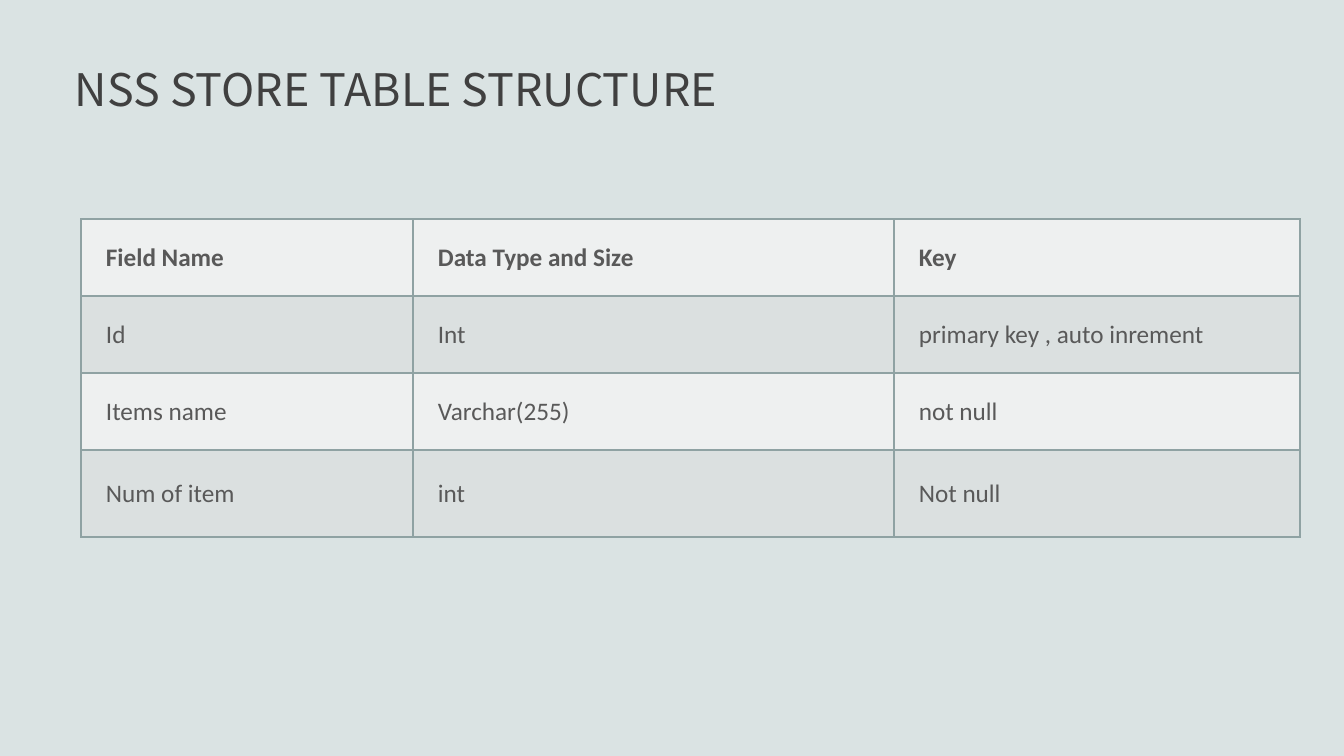
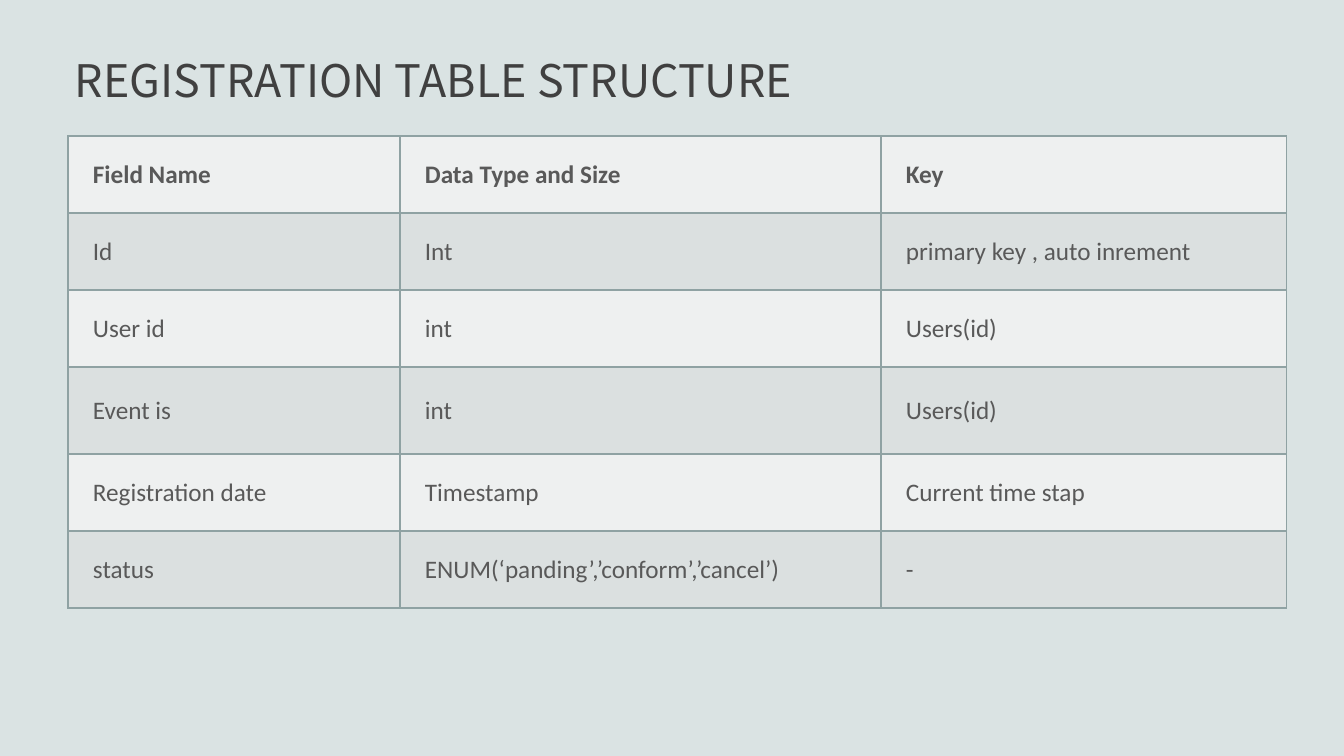
from lxml.etree import SubElement
from pptx import Presentation
from pptx.dml.color import RGBColor
from pptx.enum.text import MSO_ANCHOR
from pptx.oxml.ns import qn
from pptx.util import Pt

EMU_PER_INCH = 914400
PX_PER_INCH = 100.8
COLORS = {
    "background": "DAE3E3",
    "title": "404040",
    "body": "595959",
    "border": "8FA2A3",
    "light_row": "EEF0F0",
    "dark_row": "DBE0E0",
}
TITLE_FONT = "Noto Sans CJK KR"
BODY_FONT = "Calibri"
COLUMN_WIDTHS = [332, 481, 406]
ROW_HEIGHT = 77
TALL_ROW_HEIGHT = 87
TALL_ROW = 3
HEADER = ("Field Name", "Data Type and Size", "Key")
ID_FIELD = ("Id", "Int", "primary key , auto inrement")

STORE_FIELDS = [
    ID_FIELD,
    ("Items name", "Varchar(255)", "not null"),
    ("Num of item", "int", "Not null"),
]
REGISTRATION_FIELDS = [
    ID_FIELD,
    ("User id", "int", "Users(id)"),
    ("Event is", "int", "Users(id)"),
    ("Registration date", "Timestamp", "Current time stap"),
    ("status", "ENUM(‘panding’,’conform’,’cancel’)", "-"),
]


def px(length):
    return round(length * EMU_PER_INCH / PX_PER_INCH)


def rgb(name):
    return RGBColor.from_string(COLORS[name])


def write_text(frame, text, *, font, size, color, bold=False, line_spacing=None):
    paragraph = frame.paragraphs[0]
    paragraph.line_spacing = line_spacing
    run = paragraph.add_run()
    run.text = text
    run.font.name = font
    run.font.size = Pt(size)
    run.font.bold = bold
    run.font.color.rgb = rgb(color)


def set_margins(target, left, top, right, bottom):
    target.margin_left = px(left)
    target.margin_top = px(top)
    target.margin_right = px(right)
    target.margin_bottom = px(bottom)


def add_title(slide, title, top):
    frame = slide.shapes.add_textbox(px(68), px(top), px(1220), px(101)).text_frame
    frame.word_wrap = True
    frame.vertical_anchor = MSO_ANCHOR.TOP
    set_margins(frame, 7, 0, 7, 0)
    write_text(frame, title, font=TITLE_FONT, size=32, color="title", line_spacing=0.9)


def add_borders(cell):
    properties = cell._tc.get_or_add_tcPr()
    for side in ("lnL", "lnR", "lnT", "lnB"):
        line = SubElement(properties, qn(f"a:{side}"), w=str(Pt(1)))
        fill = SubElement(line, qn("a:solidFill"))
        SubElement(fill, qn("a:srgbClr"), val=COLORS["border"])


def format_cell(cell, text, row_index):
    set_margins(cell, 25, 5, 20, 5)
    cell.vertical_anchor = MSO_ANCHOR.MIDDLE
    add_borders(cell)
    cell.fill.solid()
    cell.fill.fore_color.rgb = rgb("dark_row" if row_index % 2 else "light_row")
    write_text(cell.text_frame, text, font=BODY_FONT, size=18, color="body",
               bold=row_index == 0)


def add_field_table(slide, fields, left, top):
    rows = [HEADER, *fields]
    heights = [TALL_ROW_HEIGHT if index == TALL_ROW else ROW_HEIGHT
               for index in range(len(rows))]
    table = slide.shapes.add_table(
        len(rows), len(HEADER), px(left), px(top),
        px(sum(COLUMN_WIDTHS)), px(sum(heights))).table
    table.first_row = False
    table.horz_banding = False
    for column, width in zip(table.columns, COLUMN_WIDTHS):
        column.width = px(width)
    for row_index, (values, height) in enumerate(zip(rows, heights)):
        table.rows[row_index].height = px(height)
        for column_index, value in enumerate(values):
            format_cell(table.cell(row_index, column_index), value, row_index)


def add_structure_slide(deck, title, title_top, fields, table_left, table_top):
    slide = deck.slides.add_slide(deck.slide_layouts[6])
    slide.background.fill.solid()
    slide.background.fill.fore_color.rgb = rgb("background")
    add_title(slide, title, title_top)
    add_field_table(slide, fields, table_left, table_top)


def main():
    deck = Presentation()
    deck.slide_width = px(1344)
    deck.slide_height = px(756)
    add_structure_slide(deck, "NSS STORE TABLE STRUCTURE", 68, STORE_FIELDS, 81, 219)
    add_structure_slide(deck, "REGISTRATION TABLE STRUCTURE", 59,
                        REGISTRATION_FIELDS, 68, 136)
    deck.save("out.pptx")


if __name__ == "__main__":
    main()
